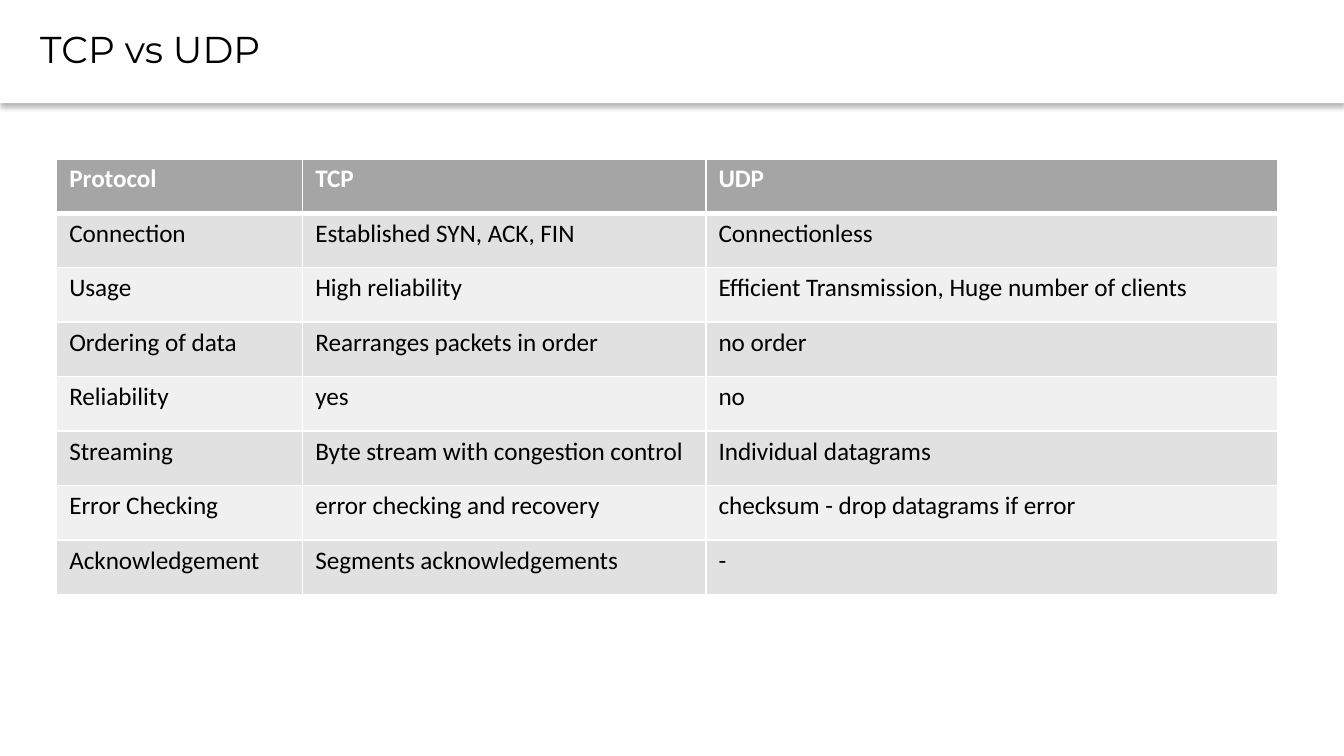
import pptx
import pptx.util
import pptx.dml.color
import pptx.enum.text
import pptx.oxml
import pptx.oxml.ns
from pptx.util import Cm

WHITE = pptx.dml.color.RGBColor(0xFF, 0xFF, 0xFF)
BLACK = pptx.dml.color.RGBColor(0x00, 0x00, 0x00)
HEADER_GREY = pptx.dml.color.RGBColor(0xA5, 0xA5, 0xA5)
DARK_BAND = pptx.dml.color.RGBColor(0xE1, 0xE1, 0xE1)
LIGHT_BAND = pptx.dml.color.RGBColor(0xF0, 0xF0, 0xF0)

PROTOCOL_ROWS = [
    ("Protocol", "TCP", "UDP"),
    ("Connection", "Established SYN, ACK, FIN", "Connectionless"),
    ("Usage", "High reliability", "Efficient Transmission, Huge number of clients"),
    ("Ordering of data", "Rearranges packets in order", "no order"),
    ("Reliability", "yes", "no"),
    ("Streaming", "Byte stream with congestion control", "Individual datagrams"),
    ("Error Checking", "error checking and recovery", "checksum - drop datagrams if error"),
    ("Acknowledgement", "Segments acknowledgements", "-"),
]


class SlideBuilder:
    title_font = "Montserrat"
    table_font = "Calibri"

    def __init__(self, slide):
        self.slide = slide

    def add_run(self, paragraph, text, font, size, color, bold=False):
        run = paragraph.add_run()
        run.text = text
        run.font.name = font
        run.font.size = pptx.util.Pt(size)
        run.font.color.rgb = color
        run.font.bold = bold

    def add_shadow(self, shape, blur, distance, opacity):
        shape.shadow.inherit = False
        effects = shape._element.spPr.find(pptx.oxml.ns.qn("a:effectLst"))
        effects.append(pptx.oxml.parse_xml(
            f'<a:outerShdw {pptx.oxml.ns.nsdecls("a")} blurRad="{pptx.util.Pt(blur)}" '
            f'dist="{pptx.util.Pt(distance)}" dir="5400000" algn="t" rotWithShape="0">'
            f'<a:srgbClr val="{BLACK}"><a:alpha val="{opacity * 1000}"/></a:srgbClr>'
            '</a:outerShdw>'))

    def add_title(self, text, width, height):
        banner = self.slide.shapes.title
        banner.left, banner.top, banner.width, banner.height = 0, 0, width, height
        banner.fill.solid()
        banner.fill.fore_color.rgb = WHITE
        banner.line.fill.background()
        self.add_shadow(banner, 3.1, 2, 30)
        frame = banner.text_frame
        frame.word_wrap = True
        frame.auto_size = pptx.enum.text.MSO_AUTO_SIZE.NONE
        frame.vertical_anchor = pptx.enum.text.MSO_ANCHOR.MIDDLE
        frame.margin_left, frame.margin_right = Cm(0.76), Cm(0.18)
        frame.margin_top = frame.margin_bottom = Cm(0.1)
        heading = frame.paragraphs[0]
        heading.alignment = pptx.enum.text.PP_ALIGN.LEFT
        heading.line_spacing = 0.9
        heading.space_before = pptx.util.Pt(7.5)
        self.add_run(heading, text, self.title_font, 20, BLACK)

    def add_border(self, cell, side, width):
        cell._tc.get_or_add_tcPr().append(pptx.oxml.parse_xml(
            f'<a:ln{side} {pptx.oxml.ns.nsdecls("a")} w="{pptx.util.Pt(width)}">'
            f'<a:solidFill><a:srgbClr val="{WHITE}"/></a:solidFill></a:ln{side}>'))

    def fill_cell(self, cell, text, is_header, fill):
        cell.margin_left = cell.margin_right = Cm(0.24)
        cell.margin_top = cell.margin_bottom = Cm(0.1)
        for side in "LRTB" if is_header else "LRB":
            self.add_border(cell, side, 3 if is_header and side == "B" else 1)
        cell.fill.solid()
        cell.fill.fore_color.rgb = fill
        self.add_run(cell.text_frame.paragraphs[0], text, self.table_font, 13.5,
                     WHITE if is_header else BLACK, is_header)

    def add_table(self, rows, left, top, column_widths, row_height):
        comparison = self.slide.shapes.add_table(
            len(rows), len(column_widths), left, top,
            sum(column_widths), row_height * len(rows)).table
        for column, width in zip(comparison.columns, column_widths):
            column.width = width
        for row_index, row in enumerate(rows):
            comparison.rows[row_index].height = row_height
            is_header = row_index == 0
            band = DARK_BAND if row_index % 2 else LIGHT_BAND
            for column_index, text in enumerate(row):
                self.fill_cell(comparison.cell(row_index, column_index), text,
                               is_header, HEADER_GREY if is_header else band)


def main():
    deck = pptx.Presentation()
    deck.slide_width, deck.slide_height = Cm(25.4), Cm(14.29)
    builder = SlideBuilder(deck.slides.add_slide(deck.slide_layouts[5]))
    builder.add_title("TCP vs UDP", deck.slide_width, Cm(1.95))
    builder.add_table(PROTOCOL_ROWS, Cm(1.07), Cm(3),
                      [Cm(4.65), Cm(7.62), Cm(10.8)], Cm(1.03))
    deck.save("out.pptx")


if __name__ == "__main__":
    main()
